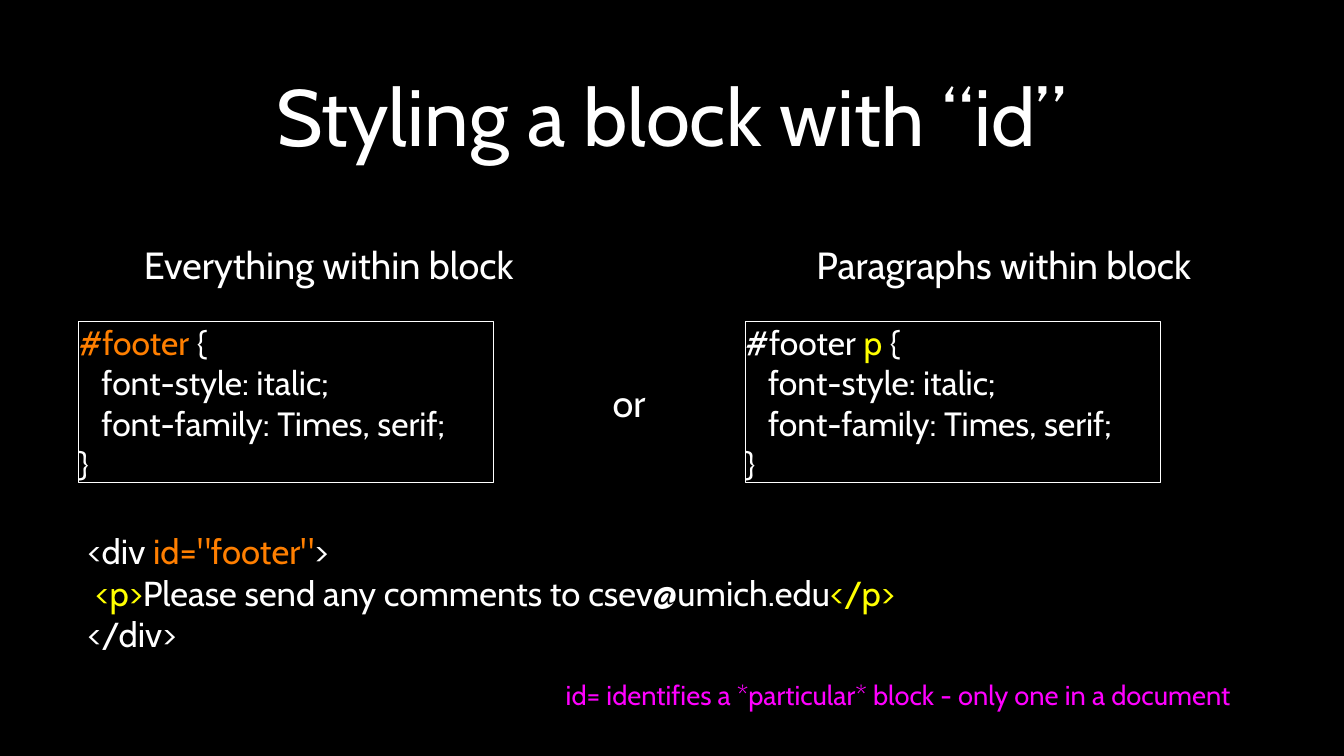
import pptx
import pptx.dml.color
import pptx.enum.shapes
import pptx.enum.text
import pptx.util
from dataclasses import dataclass

Pt = pptx.util.Pt
RGB = pptx.dml.color.RGBColor.from_string
ALIGN = pptx.enum.text.PP_ALIGN


@dataclass(frozen=True)
class Theme:
    font: str = "Cabin"
    background: str = "000000"
    text: str = "FFFFFF"
    id_mark: str = "FF7F00"
    p_mark: str = "FFFF00"
    note: str = "FF00FF"
    title_size: int = 76
    label_size: int = 36
    html_size: int = 33
    css_size: int = 32
    note_size: int = 26


theme = Theme()


def set_text(sp, lines, size, align=ALIGN.LEFT, margin=0, wrap=True):
    """Fill a shape with lines, each a list of (text, colour) runs."""
    tf = sp.text_frame
    tf.word_wrap = wrap
    tf.auto_size = pptx.enum.text.MSO_AUTO_SIZE.NONE
    tf.vertical_anchor = pptx.enum.text.MSO_ANCHOR.MIDDLE
    tf.margin_left = tf.margin_right = tf.margin_top = tf.margin_bottom = Pt(margin)
    for i, runs in enumerate(lines):
        p = tf.paragraphs[0] if i == 0 else tf.add_paragraph()
        p.alignment = align
        for text, colour in runs:
            r = p.add_run()
            r.text = text
            r.font.name = theme.font
            r.font.size = Pt(size)
            r.font.color.rgb = RGB(colour)


prs = pptx.Presentation()
prs.slide_width, prs.slide_height = Pt(1280), Pt(720)
s = prs.slides.add_slide(prs.slide_layouts[5])
s.background.fill.solid()
s.background.fill.fore_color.rgb = RGB(theme.background)

# Title
title = s.shapes.title
title.left, title.top, title.width, title.height = Pt(90.5), Pt(19), Pt(1097), Pt(181)
set_text(title, [[("Styling a block with “id”", theme.text)]],
         theme.title_size, align=ALIGN.CENTER, margin=3)

# CSS rules
css_body = [[(line, theme.text)] for line in
            ("   font-style: italic;", "   font-family: Times, serif;", "}")]
selectors = [
    (75, [("#footer", theme.id_mark), (" {", theme.text)]),
    (710, [("#footer ", theme.text), ("p", theme.p_mark), (" {", theme.text)]),
]
for left, selector in selectors:
    sp = s.shapes.add_shape(pptx.enum.shapes.MSO_SHAPE.RECTANGLE,
                            Pt(left), Pt(306.5), Pt(395), Pt(153.5))
    sp.shadow.inherit = False
    sp.fill.background()
    sp.line.color.rgb = RGB(theme.text)
    sp.line.width = Pt(1)
    set_text(sp, [selector] + css_body, theme.css_size)

# HTML example
html = s.shapes.add_textbox(Pt(83.5), Pt(503.5), Pt(1123), Pt(121.5))
set_text(html, [
    [("<div ", theme.text), ('id="footer"', theme.id_mark), (">", theme.text)],
    [(" ", theme.text), ("<p>", theme.p_mark),
     ("Please send any comments to csev@umich.edu", theme.text), ("</p>", theme.p_mark)],
    [("</div>", theme.text)],
], theme.html_size)

# Centred labels and the closing note
labels = [
    ("Everything within block", (86.5, 227, 453, 49), theme.label_size, theme.text),
    ("Paragraphs within block", (729.5, 227, 453, 49), theme.label_size, theme.text),
    ("or", (580.5, 362, 37, 43), theme.label_size, theme.text),
    ("id= identifies a *particular* block - only one in a document",
     (499, 646.5, 713.5, 31), theme.note_size, theme.note),
]
for text, box, size, colour in labels:
    sp = s.shapes.add_textbox(*map(Pt, box))
    set_text(sp, [[(text, colour)]], size, align=ALIGN.CENTER, wrap=False)

prs.save("out.pptx")
